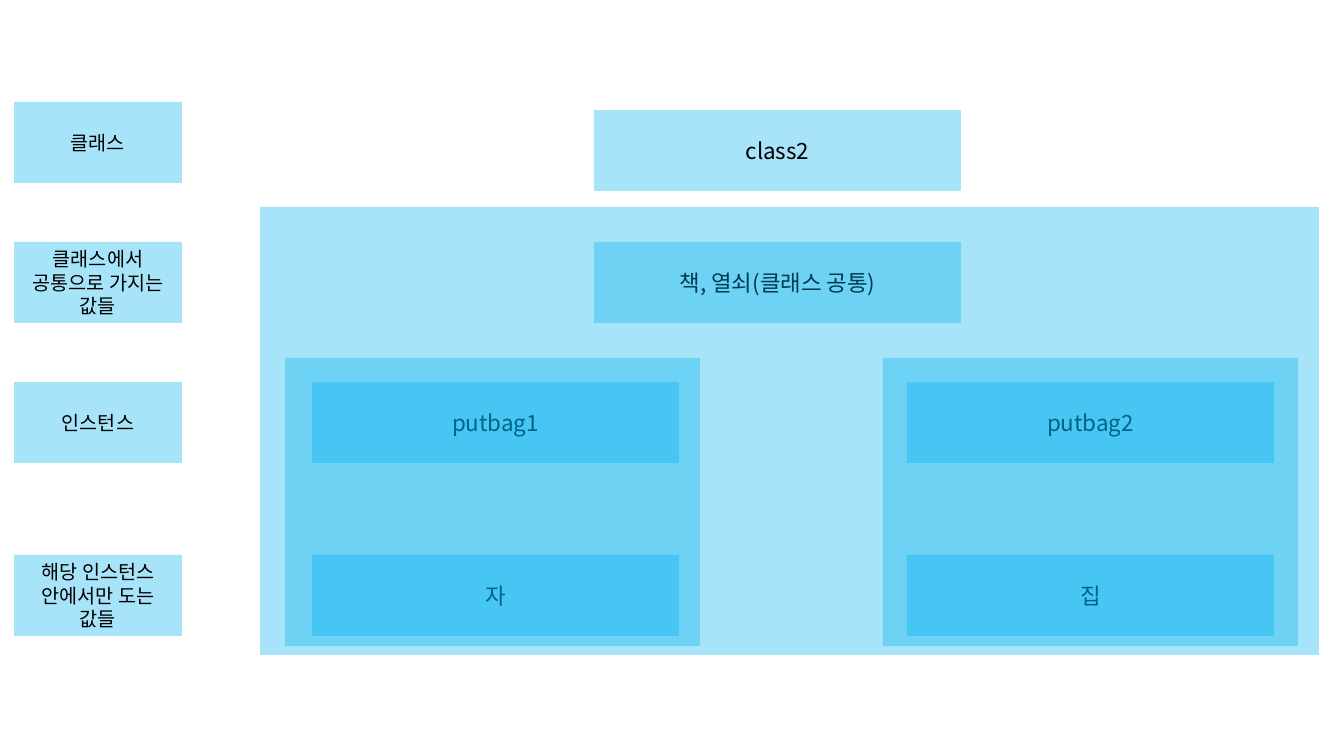
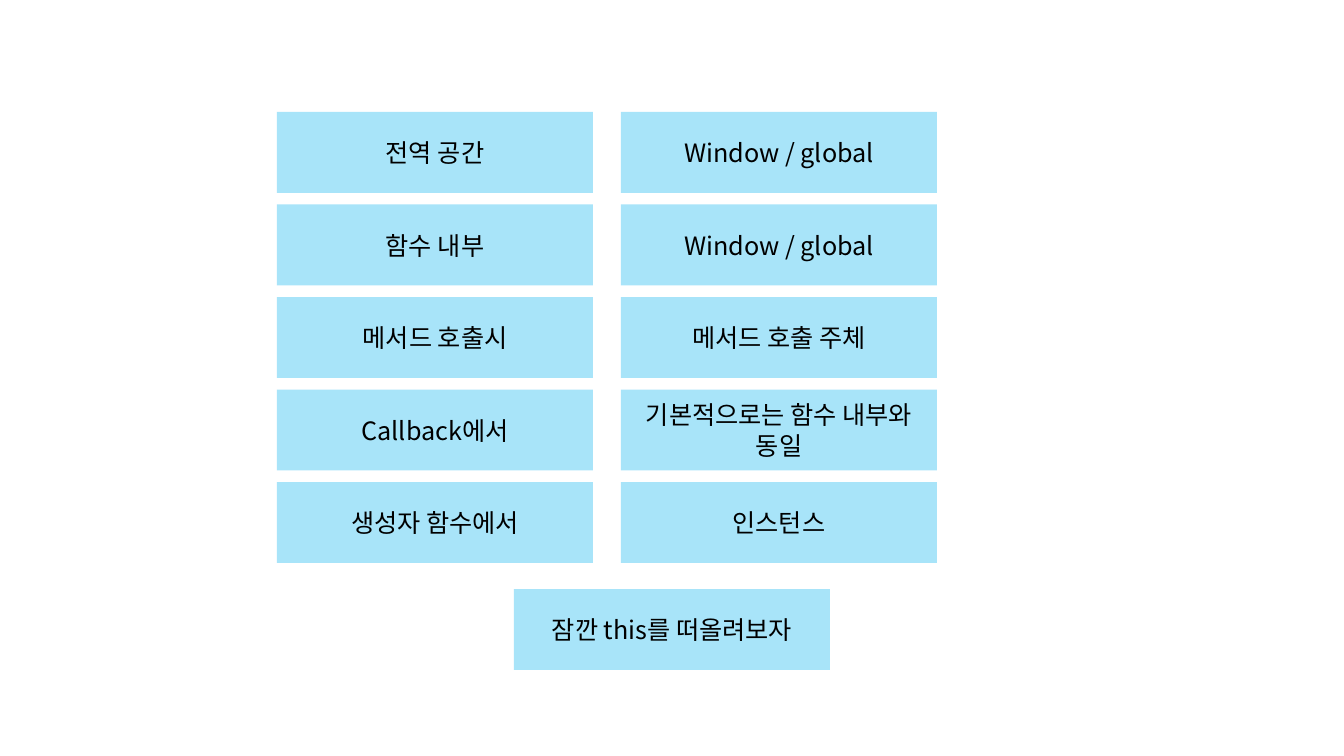
import pptx
import pptx.dml.color
import pptx.enum.shapes
import pptx.enum.text
import pptx.oxml.ns
import pptx.util
from lxml import etree

EMU_PER_PX = 914400 / 100.8
FONT = "Noto Sans CJK KR"
SKY = "00B0F0"
BLACK = "000000"
OPACITY = 34
ROW_HEIGHT = 81


def px(length):
    return pptx.util.Emu(round(length * EMU_PER_PX))


def color(value):
    return pptx.dml.color.RGBColor.from_string(value)


def add_panel(page, box):
    shape = page.shapes.add_shape(
        pptx.enum.shapes.MSO_SHAPE.RECTANGLE, *(px(length) for length in box)
    )
    shape.shadow.inherit = False
    shape.line.fill.background()
    shape.fill.solid()
    shape.fill.fore_color.rgb = color(SKY)
    fill = shape.fill._xPr.find(".//" + pptx.oxml.ns.qn("a:srgbClr"))
    alpha = etree.SubElement(fill, pptx.oxml.ns.qn("a:alpha"))
    alpha.set("val", str(OPACITY * 1000))
    return shape


def add_label(page, box, text, size):
    frame = add_panel(page, box).text_frame
    frame.word_wrap = True
    frame.vertical_anchor = pptx.enum.text.MSO_ANCHOR.MIDDLE
    frame.text = text
    para = frame.paragraphs[0]
    para.alignment = pptx.enum.text.PP_ALIGN.CENTER
    for span in para.runs:
        span.font.size = pptx.util.Pt(size)
        span.font.name = FONT
        span.font.color.rgb = color(BLACK)
        east_asian = etree.SubElement(span.font._element, pptx.oxml.ns.qn("a:ea"))
        east_asian.set("typeface", FONT)


def add_legend(page, box, entries):
    left, top, width, _ = box
    for offset, text in entries:
        add_label(page, (left, top + offset, width, ROW_HEIGHT), text, 14)


def add_instance_labels(page, box, inset, name, value):
    left, top, _, _ = box
    for offset, text in ((24, name), (197, value)):
        add_label(page, (left + inset, top + offset, 367, ROW_HEIGHT), text, 16)


def add_class_diagram(page, box):
    left, top, width, height = box
    for offset, text in ((-97, "class2"), (35, "책, 열쇠(클래스 공통)")):
        add_label(page, (left + 334, top + offset, 367, ROW_HEIGHT), text, 16)
    instances = [
        ((left + 25, top + 151, 415, 288), 27, "putbag1", "자"),
        ((left + 623, top + 151, 415, 288), 24, "putbag2", "집"),
    ]
    for instance in instances:
        add_instance_labels(page, *instance)
    add_panel(page, box)
    for instance_box, *_ in instances:
        add_panel(page, instance_box)


def add_label_grid(page, box, rows, gap):
    left, top, width, height = box
    cell_width = (width - gap) / 2
    pitch = (height - ROW_HEIGHT) / (len(rows) - 1)
    for row, texts in enumerate(rows):
        for column, text in enumerate(texts):
            cell = (
                left + column * (cell_width + gap),
                top + row * pitch,
                cell_width,
                ROW_HEIGHT,
            )
            add_label(page, cell, text, 18)


def build_class_page(page):
    add_class_diagram(page, (260, 207, 1059, 448))
    add_legend(page, (14, 102, 168, 534), [
        (0, "클래스"),
        (140, "클래스에서 공통으로 가지는 값들"),
        (280, "인스턴스"),
        (453, "해당 인스턴스 안에서만 도는 값들"),
    ])


def build_this_page(page):
    add_label_grid(page, (277, 112, 660, 451), [
        ("전역 공간", "Window / global"),
        ("함수 내부", "Window / global"),
        ("메서드 호출시", "메서드 호출 주체"),
        ("Callback에서", "기본적으로는 함수 내부와 동일"),
        ("생성자 함수에서", "인스턴스"),
    ], 28)
    add_label(page, (514, 589, 316, ROW_HEIGHT), "잠깐 this를 떠올려보자", 18)


def main():
    deck = pptx.Presentation()
    deck.slide_width = px(1344)
    deck.slide_height = px(756)
    for build in (build_class_page, build_this_page):
        build(deck.slides.add_slide(deck.slide_layouts[6]))
    deck.save("out.pptx")


if __name__ == "__main__":
    main()
